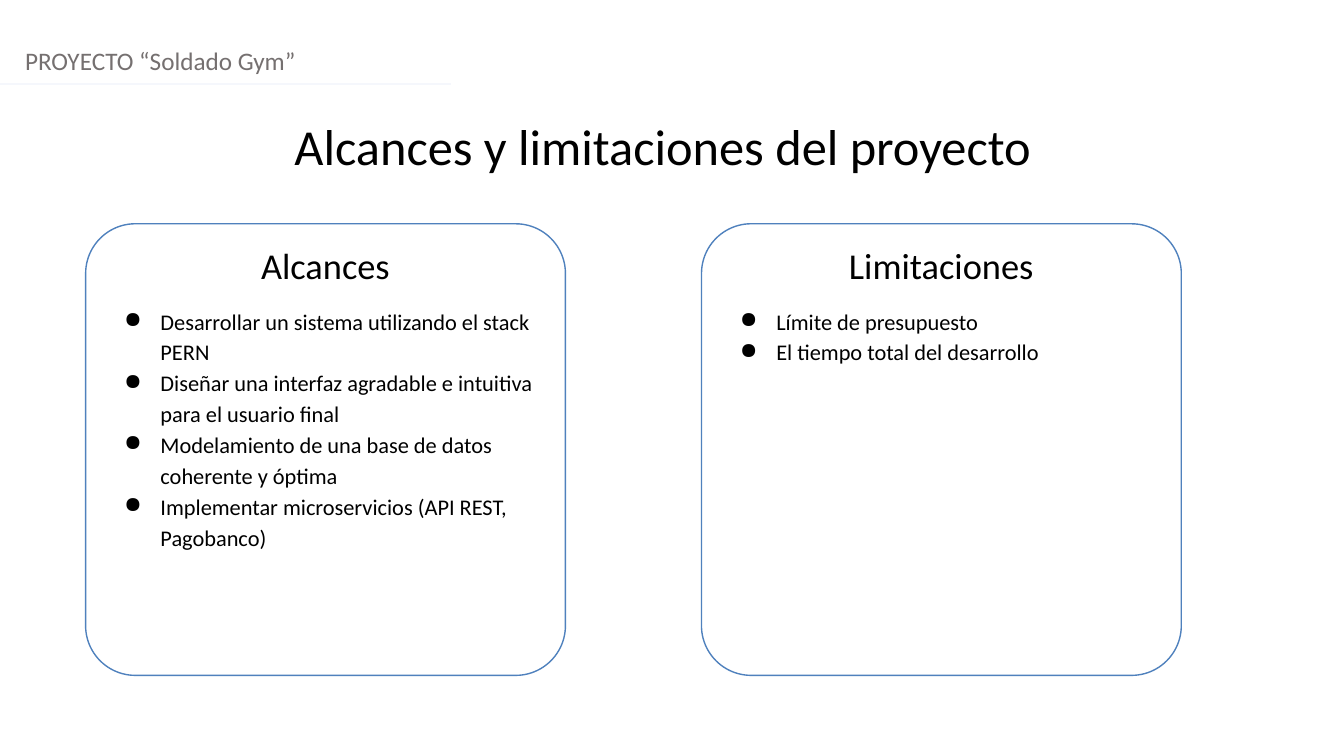
from lxml.etree import SubElement
from pptx import Presentation
from pptx.dml.color import RGBColor
from pptx.enum.shapes import MSO_CONNECTOR, MSO_SHAPE
from pptx.enum.text import MSO_ANCHOR, MSO_AUTO_SIZE, PP_ALIGN
from pptx.oxml.ns import qn
from pptx.util import Pt

BLACK = RGBColor(0x00, 0x00, 0x00)
WHITE = RGBColor(0xFF, 0xFF, 0xFF)
GREY = RGBColor(0x75, 0x70, 0x70)
BLUE = RGBColor(0x4F, 0x81, 0xBD)
PALE = RGBColor(0xF5, 0xF7, 0xFC)

PAGE_WIDTH, PAGE_HEIGHT = 960, 540
CARD_LEFT, CARD_STEP = 61.2, 439.92

CARDS = [
    ("Alcances", [
        "Desarrollar un sistema utilizando el stack PERN",
        "Diseñar una interfaz agradable e intuitiva para el usuario final",
        "Modelamiento de una base de datos coherente y óptima",
        "Implementar microservicios (API REST, Pagobanco)",
    ]),
    ("Limitaciones", [
        "Límite de presupuesto",
        "El tiempo total del desarrollo",
    ]),
]


class SlideBuilder:
    font = "Calibri"

    def __init__(self, page):
        self.page = page

    def add_span(self, para, text, size, color=BLACK, align=PP_ALIGN.LEFT):
        para.alignment = align
        span = para.add_run()
        span.text = text
        span.font.name = self.font
        span.font.size = Pt(size)
        span.font.color.rgb = color

    def add_text(self, left, top, width, height, text, size, color, align):
        box = self.page.shapes.add_textbox(Pt(left), Pt(top), Pt(width), Pt(height))
        frame = box.text_frame
        frame.word_wrap = True
        frame.auto_size = MSO_AUTO_SIZE.SHAPE_TO_FIT_TEXT
        self.add_span(frame.paragraphs[0], text, size, color, align)

    def add_rule(self, left, right, y):
        rule = self.page.shapes.add_connector(
            MSO_CONNECTOR.STRAIGHT, Pt(left), Pt(y), Pt(right), Pt(y))
        rule.line.color.rgb = PALE
        rule.line.width = Pt(1.25)
        SubElement(rule._element.spPr, qn("a:effectLst"))

    def add_bullet(self, para, text):
        para.line_spacing = 1.15
        props = para._p.get_or_add_pPr()
        props.set("marL", str(Pt(36)))
        props.set("indent", str(Pt(-26)))
        color = SubElement(props, qn("a:buClr"))
        SubElement(color, qn("a:srgbClr"), val=str(BLACK))
        SubElement(props, qn("a:buChar"), char="●")
        self.add_span(para, text, 16)

    def add_card(self, left, top, width, height, title, items):
        box = self.page.shapes.add_shape(
            MSO_SHAPE.ROUNDED_RECTANGLE, Pt(left), Pt(top), Pt(width), Pt(height))
        box.adjustments[0] = 0.11
        box.shadow.inherit = False
        box.fill.solid()
        box.fill.fore_color.rgb = WHITE
        box.line.color.rgb = BLUE
        box.line.width = Pt(1)
        frame = box.text_frame
        frame.word_wrap = True
        frame.vertical_anchor = MSO_ANCHOR.TOP
        self.add_span(frame.paragraphs[0], title, 26, align=PP_ALIGN.CENTER)
        for index, item in enumerate(items):
            para = frame.add_paragraph()
            para.space_before = Pt(0 if index else 12)
            self.add_bullet(para, item)


def main():
    deck = Presentation()
    deck.slide_width, deck.slide_height = Pt(PAGE_WIDTH), Pt(PAGE_HEIGHT)
    builder = SlideBuilder(deck.slides.add_slide(deck.slide_layouts[6]))

    # Project name, slide title and rule
    builder.add_text(10.8, 28.8, PAGE_WIDTH, 28.8, "PROYECTO “Soldado Gym”",
                     18, GREY, PP_ALIGN.LEFT)
    builder.add_text(-6.48, 78.48, PAGE_WIDTH, 51.12, "Alcances y limitaciones del proyecto",
                     36, BLACK, PP_ALIGN.CENTER)
    builder.add_rule(0, 321.84, 59.76)

    # Scope and limitation cards
    for column, (title, items) in enumerate(CARDS):
        builder.add_card(CARD_LEFT + column * CARD_STEP, 159.84, 342.72, 322.56, title, items)

    deck.save("out.pptx")


if __name__ == "__main__":
    main()
